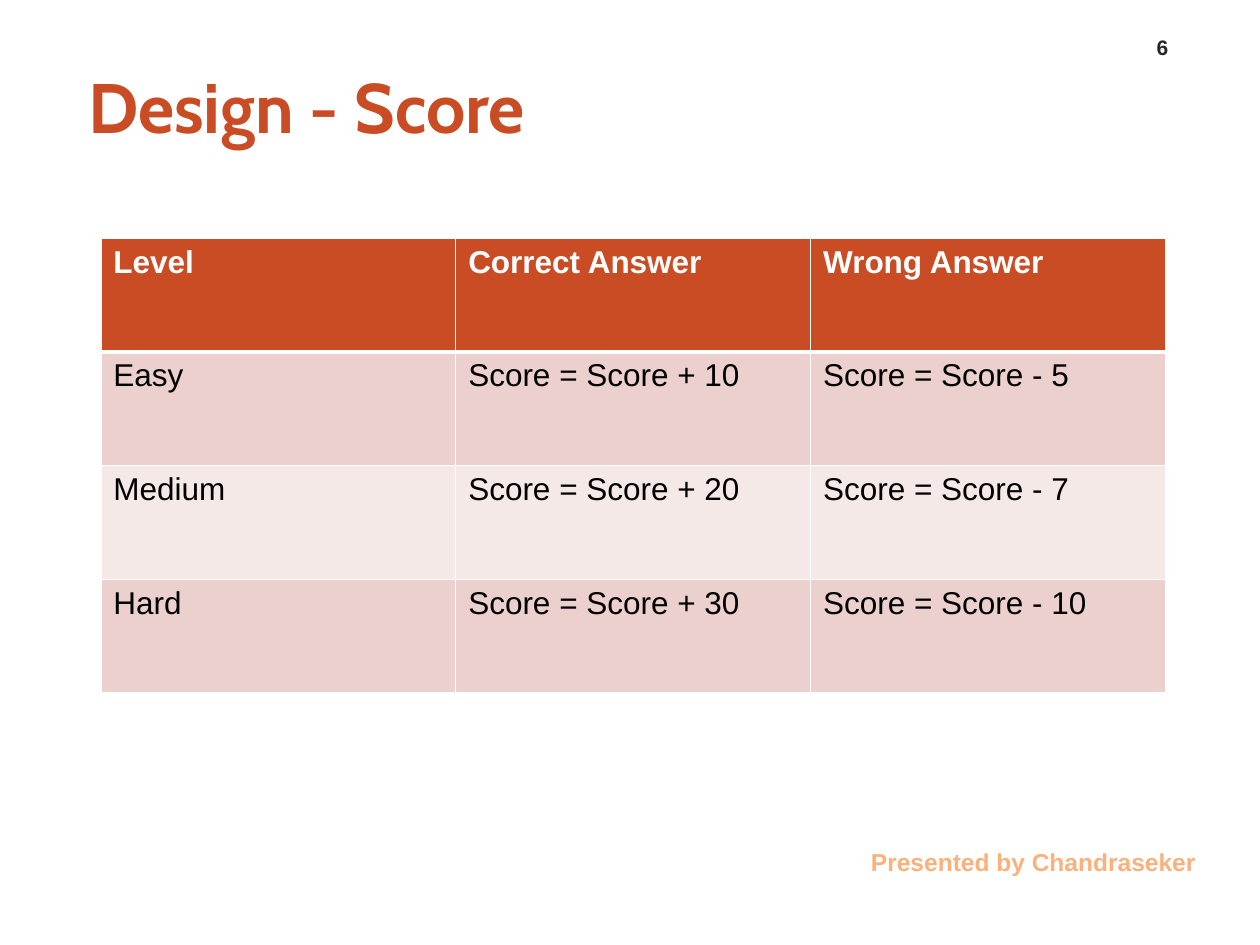
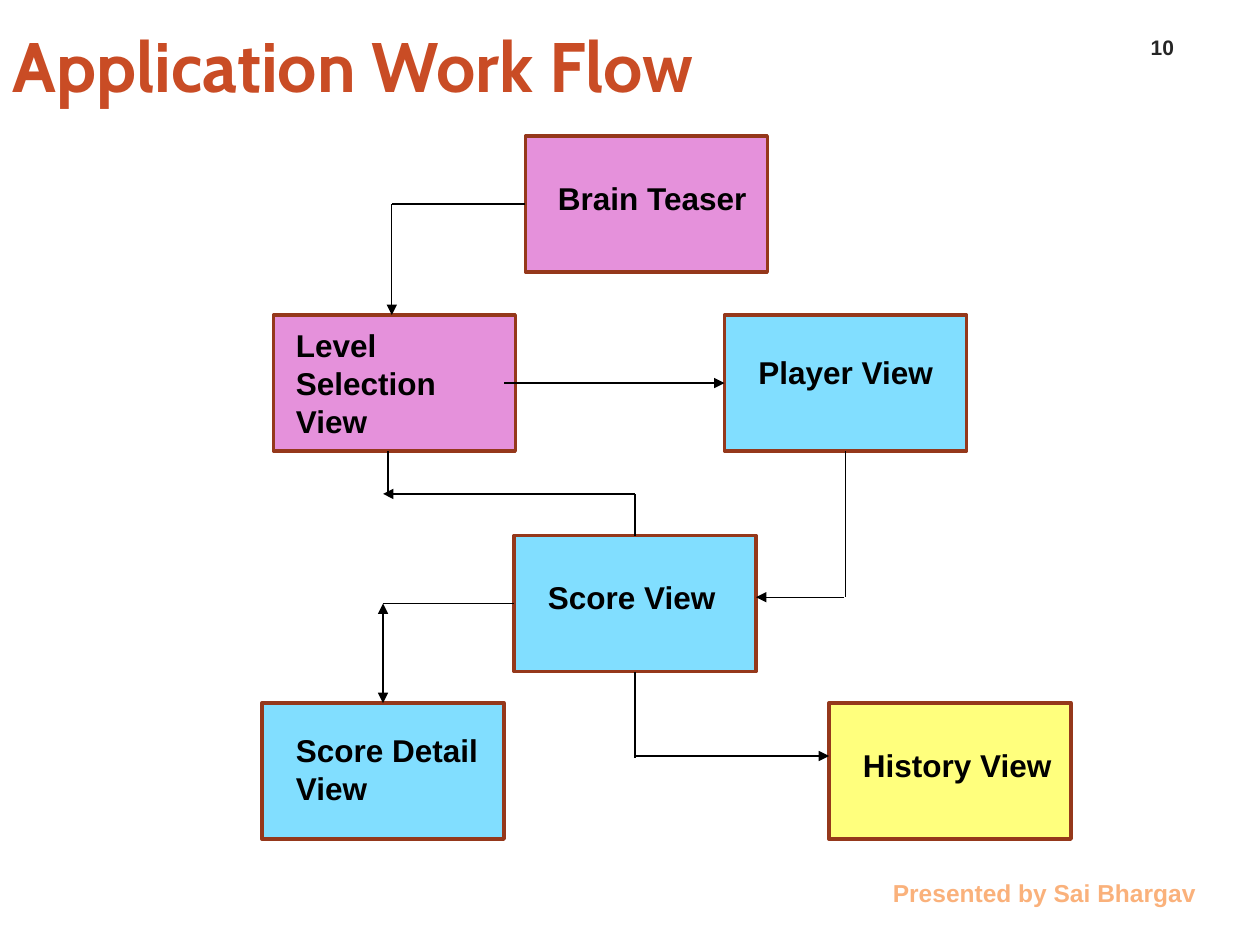
from lxml import etree
from pptx import Presentation
from pptx.dml.color import RGBColor
from pptx.enum.shapes import MSO_CONNECTOR, MSO_SHAPE
from pptx.enum.text import MSO_ANCHOR, PP_ALIGN
from pptx.oxml.ns import qn
from pptx.util import Inches, Pt

LEFT, CENTER, RIGHT = PP_ALIGN.LEFT, PP_ALIGN.CENTER, PP_ALIGN.RIGHT
TOP, MIDDLE, BOTTOM = MSO_ANCHOR.TOP, MSO_ANCHOR.MIDDLE, MSO_ANCHOR.BOTTOM
RECT, STRAIGHT = MSO_SHAPE.RECTANGLE, MSO_CONNECTOR.STRAIGHT

ORANGE, PEACH, DARK = "C94C25", "FAB17B", "262626"
BLACK, WHITE, BROWN = "000000", "FFFFFF", "95381B"
ROSE, PALE_ROSE = "EBD0CD", "F5E9E8"
PINK, BLUE, YELLOW = "E591DB", "81DEFF", "FFFF7D"


def rgb(value):
    return RGBColor.from_string(value)


def add_text(s, lines, box, size, color, font="Arial", align=LEFT, anchor=TOP):
    """Add a bold text box, one paragraph per line of text."""
    tf = s.shapes.add_textbox(*(Inches(v) for v in box)).text_frame
    tf.word_wrap = True
    tf.vertical_anchor = anchor
    tf.text = lines
    for p in tf.paragraphs:
        p.alignment = align
        p.font.name, p.font.size, p.font.bold = font, Pt(size), True
        p.font.color.rgb = rgb(color)
    return tf


prs = Presentation()
prs.slide_width, prs.slide_height = Inches(10), Inches(7.5)

# Title, page number and presenter of each slide
slides = []
for title, title_box, number, presenter, footer_top in [
    ("Design - Score", (0.5, 0.4, 5.33, 0.87), "6", "Chandraseker", 6.67),
    ("Application Work Flow", (-0.1, 0.08, 6.42, 0.87), "10", "Sai Bhargav", 6.92),
]:
    s = prs.slides.add_slide(prs.slide_layouts[6])
    tf = add_text(s, title, title_box, 40, ORANGE, "Cabin", anchor=MIDDLE)
    tf.margin_left, tf.margin_right = Inches(0.2), 0
    add_text(s, number, (8.95, 0.19, 0.55, 0.33), 12, DARK, align=CENTER, anchor=BOTTOM)
    add_text(s, f"Presented by {presenter}", (3.42, footer_top, 6.17, 0.34), 14, PEACH,
             align=RIGHT)
    slides.append(s)
score_slide, flow_slide = slides

# Score table
rows = [
    ("Level", "Correct Answer", "Wrong Answer"),
    ("Easy", "Score = Score + 10", "Score = Score - 5"),
    ("Medium", "Score = Score + 20", "Score = Score - 7"),
    ("Hard", "Score = Score + 30", "Score = Score - 10"),
]
row_fills = [ORANGE, ROSE, PALE_ROSE, ROSE]
table = score_slide.shapes.add_table(
    len(rows), 3, Inches(0.8), Inches(1.89), Inches(8.45), Inches(3.61)).table
for i, row in enumerate(rows):
    for j, text in enumerate(row):
        cell = table.cell(i, j)
        cell.text = text
        p = cell.text_frame.paragraphs[0]
        p.font.name, p.font.size, p.font.bold = "Arial", Pt(18), i == 0
        p.font.color.rgb = rgb(WHITE if i == 0 else BLACK)
        tcPr = cell._tc.get_or_add_tcPr()
        for side in ("lnL", "lnR", "lnT", "lnB"):
            under_header = (i, side) in ((0, "lnB"), (1, "lnT"))
            ln = etree.SubElement(tcPr, qn(f"a:{side}"), w=str(Pt(3 if under_header else 1)))
            line_fill = etree.SubElement(ln, qn("a:solidFill"))
            etree.SubElement(line_fill, qn("a:srgbClr"), val=WHITE)
        cell.fill.solid()
        cell.fill.fore_color.rgb = rgb(row_fills[i])

# Work flow views: fill, box corner, label, label corner and height
for fill, x, y, label, label_x, label_y, label_h in [
    (PINK, 4.17, 1.08, "Brain Teaser", 4.33, 1.37, 0.4),
    (PINK, 2.17, 2.5, "Level Selection\nView", 2.25, 2.54, 1.01),
    (BLUE, 5.75, 2.5, "Player View", 5.92, 2.75, 0.4),
    (BLUE, 4.08, 4.25, "Score View", 4.25, 4.54, 0.4),
    (BLUE, 2.08, 5.58, "Score Detail View", 2.25, 5.75, 0.71),
    (YELLOW, 6.58, 5.58, "History View", 6.75, 5.87, 0.4),
]:
    sp = flow_slide.shapes.add_shape(RECT, Inches(x), Inches(y), Inches(1.92), Inches(1.08))
    sp.shadow.inherit = False
    sp.fill.solid()
    sp.fill.fore_color.rgb = rgb(fill)
    sp.line.color.rgb = rgb(BROWN)
    sp.line.width = Pt(2)
    add_text(flow_slide, label, (label_x, label_y, 1.75, label_h), 18, BLACK)

# Flow lines: start, end and the ends that carry an arrowhead
for x1, y1, x2, y2, arrow_ends in [
    (4.17, 1.62, 3.11, 1.62, ()),
    (3.11, 1.62, 3.11, 2.5, ("tailEnd",)),
    (4, 3.04, 5.75, 3.04, ("tailEnd",)),
    (6.7, 4.74, 6, 4.74, ("tailEnd",)),
    (6.71, 3.58, 6.71, 4.74, ()),
    (4.08, 4.79, 3.04, 4.79, ()),
    (3.04, 4.79, 3.04, 5.58, ("headEnd", "tailEnd")),
    (5.04, 4.25, 5.04, 3.92, ()),
    (5.04, 3.92, 3.04, 3.92, ("tailEnd",)),
    (3.08, 3.92, 3.08, 3.58, ()),
    (5.04, 5.33, 5.04, 6.02, ()),
    (5.04, 6, 6.58, 6, ("tailEnd",)),
]:
    line = flow_slide.shapes.add_connector(
        STRAIGHT, Inches(x1), Inches(y1), Inches(x2), Inches(y2))
    line.line.color.rgb = rgb(BLACK)
    line.line.width = Pt(0.75)
    for end in arrow_ends:
        etree.SubElement(line.line._get_or_add_ln(), qn(f"a:{end}"), type="triangle")
    etree.SubElement(line._element.spPr, qn("a:effectLst"))

prs.save("out.pptx")
